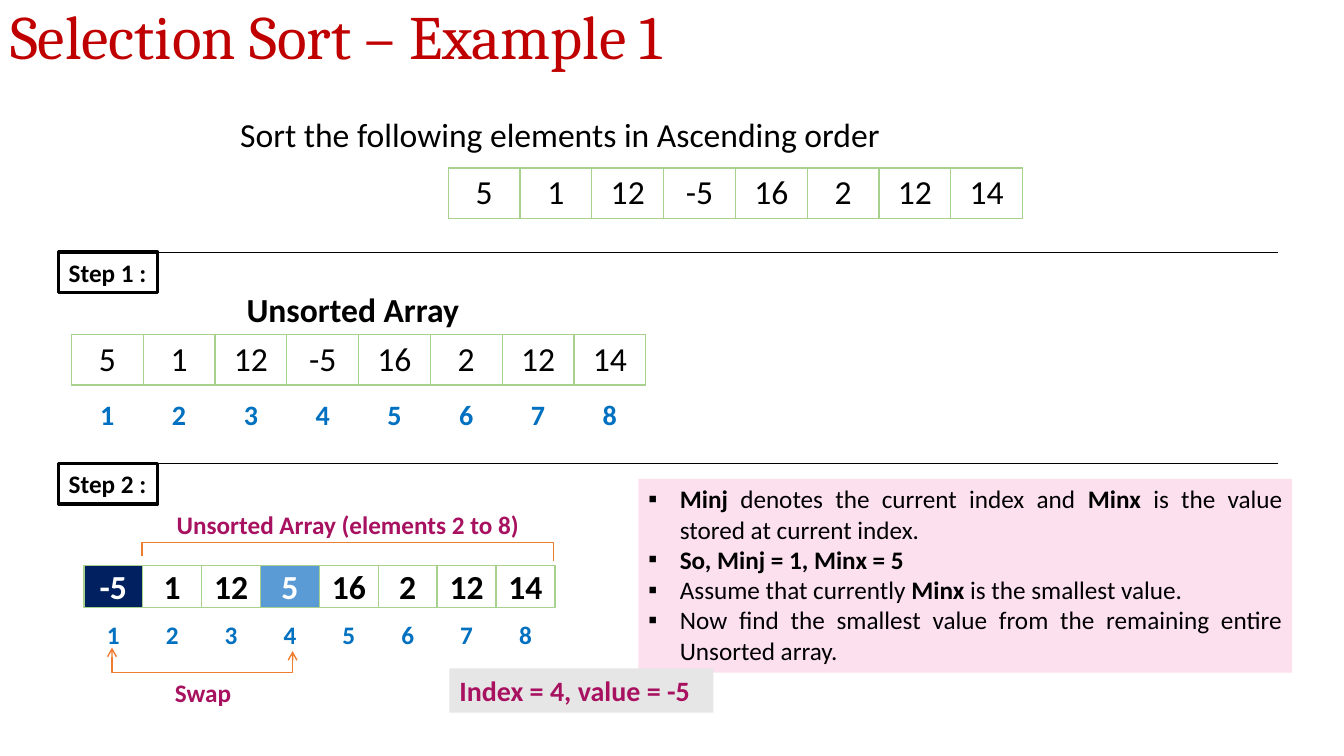
"""Build the Selection Sort example slide."""
from dataclasses import dataclass

from pptx import Presentation
from pptx.dml.color import RGBColor
from pptx.enum import shapes, text
from pptx.oxml import parse_xml
from pptx.oxml import ns
from pptx.util import Pt


@dataclass(frozen=True)
class Theme:
    """Colours, fonts and type sizes of the slide."""
    heading_font: str = "Cambria"
    body_font: str = "Calibri"
    red: str = "C00000"
    black: str = "000000"
    white: str = "FFFFFF"
    blue: str = "0070C0"
    navy: str = "002060"
    sky: str = "5B9BD5"
    green: str = "A9D18E"
    orange: str = "ED7D31"
    magenta: str = "A71160"
    pink: str = "FCE0EE"
    grey: str = "E7E6E6"
    title: int = 44
    large: int = 24
    medium: int = 20
    small: int = 18


THEME = Theme()
LEFT, CENTER, JUSTIFY = (text.PP_ALIGN.LEFT, text.PP_ALIGN.CENTER, text.PP_ALIGN.JUSTIFY)
ELEMENTS = ["5", "1", "12", "-5", "16", "2", "12", "14"]
SWAPPED = ["-5", "1", "12", "5", "16", "2", "12", "14"]
INDEXES = [str(i) for i in range(1, 9)]
HIGHLIGHTS = {0: THEME.navy, 3: THEME.sky}
EXPLANATION = [
    [("Minj", True), (" denotes the current index and ", False), ("Minx", True),
     (" is the value stored at current index.", False)],
    [("So, Minj = 1, Minx = 5", True)],
    [("Assume that currently ", False), ("Minx", True), (" is the smallest value.", False)],
    [("Now find the smallest value from the remaining entire Unsorted array.", False)],
]


def apply(target, values):
    """Set each named value on the target."""
    for name, value in values.items():
        setattr(target, name, value)


def xml(markup):
    """Make a DrawingML element from an opening tag's content and its children."""
    tag, _, rest = markup.partition("|")
    name = tag.split()[0]
    return parse_xml(f"<{tag} {ns.nsdecls('a')}>{rest}</{name}>")


def write_runs(paragraph, runs, size, color, align=LEFT, font=THEME.body_font):
    """Fill a paragraph with (wording, bold) runs."""
    paragraph.alignment = align
    for wording, bold in runs:
        run = paragraph.add_run()
        run.text = wording
        apply(run.font, {"name": font, "size": Pt(size), "bold": bold})
        run.font.color.rgb = RGBColor.from_string(color)


def paint(shape, fill=None, line=None, width=1):
    """Give a shape its fill and outline, without a shadow."""
    shape.shadow.inherit = False
    if fill:
        shape.fill.solid()
        shape.fill.fore_color.rgb = RGBColor.from_string(fill)
    else:
        shape.fill.background()
    if line:
        shape.line.color.rgb = RGBColor.from_string(line)
        shape.line.width = Pt(width)
    else:
        shape.line.fill.background()


def add_title(slide, wording):
    """Place and format the title."""
    title = slide.shapes.title
    apply(title, {"left": 0, "top": 0, "width": Pt(960), "height": Pt(56)})
    apply(title.text_frame, {"auto_size": text.MSO_AUTO_SIZE.NONE, "word_wrap": True,
                             "vertical_anchor": text.MSO_ANCHOR.MIDDLE})
    paragraph = title.text_frame.paragraphs[0]
    paragraph.line_spacing = 0.9
    write_runs(paragraph, [(wording, False)], THEME.title, THEME.red, LEFT, THEME.heading_font)


def add_label(slide, box, wording, size, color, align=LEFT, bold=True):
    """Add a text box with one line of text."""
    label = slide.shapes.add_textbox(*map(Pt, box))
    label.text_frame.word_wrap = True
    write_runs(label.text_frame.paragraphs[0], [(wording, bold)], size, color, align)


def add_panel(slide, box, paragraphs, size, color, align=LEFT,
              anchor=text.MSO_ANCHOR.TOP, wrap=True, **look):
    """Add a rectangle holding paragraphs of runs."""
    panel = slide.shapes.add_shape(shapes.MSO_SHAPE.RECTANGLE, *map(Pt, box))
    paint(panel, **look)
    frame = panel.text_frame
    apply(frame, {"word_wrap": wrap, "vertical_anchor": anchor})
    for number, runs in enumerate(paragraphs):
        paragraph = frame.add_paragraph() if number else frame.paragraphs[0]
        write_runs(paragraph, runs, size, color, align)
    return panel


def add_bullets(panel):
    """Give every paragraph of a panel a square bullet and a hanging indent."""
    for paragraph in panel.text_frame.paragraphs:
        properties = paragraph._p.get_or_add_pPr()
        properties.set("marL", str(Pt(22.5)))
        properties.set("indent", str(Pt(-22.5)))
        properties.append(xml(f'a:buFont typeface="{THEME.body_font}"'))
        properties.append(xml('a:buChar char="▪"'))


def add_array(slide, left, top, height, values, size, color, bold=False, border=None):
    """Add a one-row table of array values."""
    frame = slide.shapes.add_table(1, len(values), Pt(left), Pt(top), Pt(410.4), Pt(height))
    table = frame.table
    apply(table, {"first_row": False, "horz_banding": False})
    for column, value in enumerate(values):
        table.columns[column].width = Pt(410.4 / len(values))
        cell = table.cell(0, column)
        cell.fill.background()
        write_runs(cell.text_frame.paragraphs[0], [(value, bold)], size, color, CENTER)
        line = (f'<a:solidFill><a:srgbClr val="{border}"/></a:solidFill>'
                if border else "<a:noFill/>")
        for place, side in enumerate("LRTB"):
            edge = xml(f'a:ln{side} w="{Pt(1)}"|{line}')
            cell._tc.get_or_add_tcPr().insert(place, edge)


def add_cells(slide, top, values, size, color, highlights, **look):
    """Add a row of separate square cells, with highlighted ones in white text."""
    for place, value in enumerate(values):
        lit = place in highlights
        add_panel(slide, (59.9 + 42.06 * place, top, 42.06, 30), [[(value, True)]], size,
                  THEME.white if lit else color, CENTER, text.MSO_ANCHOR.MIDDLE,
                  fill=highlights.get(place, THEME.white), **look)


def add_step(slide, top, wording):
    """Add a dividing line and the step's label below it."""
    divider = slide.shapes.add_connector(shapes.MSO_CONNECTOR.STRAIGHT,
                                         Pt(42), Pt(top), Pt(913), Pt(top))
    divider.line.color.rgb = RGBColor.from_string(THEME.black)
    divider.line.width = Pt(0.5)
    divider._element.spPr.append(xml("a:effectLst"))
    add_panel(slide, (42, top, 70.6, 29), [[(wording, True)]], THEME.small, THEME.black,
              wrap=False, line=THEME.black, width=2.25)


def add_bracket(slide, points, arrows=False):
    """Add an open orange outline, with arrowheads at both ends if asked."""
    start, *others = [(Pt(x), Pt(y)) for x, y in points]
    builder = slide.shapes.build_freeform(*start, scale=1.0)
    builder.add_line_segments(others, close=False)
    bracket = builder.convert_to_shape()
    paint(bracket, line=THEME.orange)
    if arrows:
        for end in ("headEnd", "tailEnd"):
            bracket.line._get_or_add_ln().append(xml(f'a:{end} type="arrow"'))


def main():
    """Build and save the slide."""
    deck = Presentation()
    apply(deck, {"slide_width": Pt(960), "slide_height": Pt(540)})
    slide = deck.slides.add_slide(deck.slide_layouts[5])

    add_title(slide, "Selection Sort – Example 1")
    add_label(slide, (164.5, 78, 486, 36), "Sort the following elements in Ascending order",
              THEME.large, THEME.black, bold=False)
    add_array(slide, 320.2, 120, 36, ELEMENTS, THEME.large, THEME.black, border=THEME.green)

    add_step(slide, 180, "Step 1 :")
    add_label(slide, (168, 202.5, 168, 36), "Unsorted Array", THEME.large, THEME.black, CENTER)
    add_array(slide, 51, 239, 36, ELEMENTS, THEME.large, THEME.black, border=THEME.green)
    add_array(slide, 51, 281, 31, INDEXES, THEME.medium, THEME.blue, bold=True)

    add_step(slide, 331, "Step 2 :")
    add_cells(slide, 404, SWAPPED, THEME.large, THEME.black, HIGHLIGHTS, line=THEME.green)
    add_cells(slide, 438, INDEXES, THEME.small, THEME.blue, {})
    explanation = add_panel(slide, (456, 342, 467, 138.5), EXPLANATION, THEME.small,
                            THEME.black, JUSTIFY, fill=THEME.pink)
    add_bullets(explanation)
    add_bracket(slide, [(395.5, 401), (395.5, 387.5), (101.5, 387.5), (101.5, 397.5)])
    add_label(slide, (101.5, 360, 294, 29), "Unsorted Array (elements 2 to 8)",
              THEME.small, THEME.magenta, CENTER)
    add_bracket(slide, [(80, 462.5), (80, 480.5), (209, 480.5), (209, 465)], arrows=True)
    add_label(slide, (109.5, 480.5, 71, 29), "Swap", THEME.small, THEME.magenta, CENTER)
    add_panel(slide, (321, 477.5, 188.6, 31.5), [[("Index = 4, value = -5", True)]],
              THEME.medium, THEME.magenta, fill=THEME.grey)

    deck.save("out.pptx")


if __name__ == "__main__":
    main()
